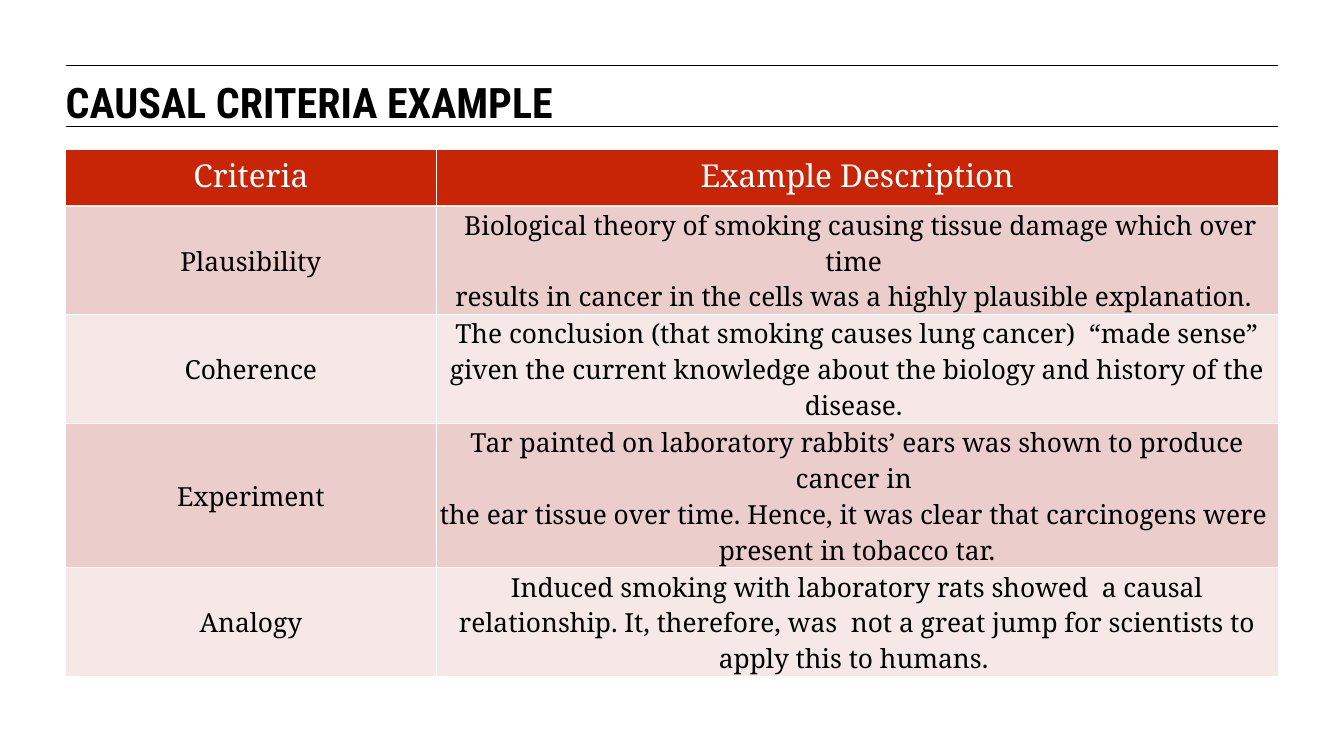
from pptx import Presentation
from pptx.dml.color import RGBColor as RGB
from pptx.enum.shapes import MSO_CONNECTOR as LINK
from pptx.enum.text import MSO_ANCHOR as ANCHOR, PP_ALIGN as ALIGN
from pptx.oxml.ns import qn
from pptx.util import Inches, Pt
from lxml.etree import SubElement as Sub

TITLE = "CAUSAL CRITERIA EXAMPLE"
ROWS = [
    ("Criteria", "Example Description"),
    ("Plausibility",
     " Biological theory of smoking causing tissue damage which over time \n"
     "results in cancer in the cells was a highly plausible explanation. "),
    ("Coherence",
     "The conclusion (that smoking causes lung cancer)  “made sense” given "
     "the current knowledge about the biology and history of the disease. "),
    ("Experiment",
     "Tar painted on laboratory rabbits’ ears was shown to produce cancer in \n"
     "the ear tissue over time. Hence, it was clear that carcinogens were  "
     "present in tobacco tar."),
    ("Analogy",
     "Induced smoking with laboratory rats showed  a causal relationship. "
     "It, therefore, was  not a great jump for scientists to apply this to "
     "humans. "),
]
COLORS = {"ink": "000000", "paper": "FFFFFF", "head": "C82506",
          "odd": "EBCDCC", "even": "F5E8E7"}
LEFT, WIDTH = 0.695, 12.83
RULES = (0.69, 1.335)
COLS = (3.92, 8.91)
HEIGHTS = (0.6, 1.15, 1.15, 1.53, 1.15)


def color(name):
    """Return the named colour."""
    return RGB.from_string(COLORS[name])


def style(frame, font, size, ink, bold=False):
    """Format every run in a text frame."""
    for para in frame.paragraphs:
        for run in para.runs:
            run.font.name, run.font.size = font, Pt(size)
            run.font.bold = bold
            run.font.color.rgb = color(ink)


def add_rule(slide, top):
    """Draw a thin line across the slide."""
    y = Inches(top)
    rule = slide.shapes.add_connector(
        LINK.STRAIGHT, Inches(LEFT), y, Inches(LEFT + WIDTH), y)
    rule.line.color.rgb = color("ink")
    rule.line.width = Pt(0.75)
    Sub(rule._element.spPr, qn("a:effectLst"))


def add_title(slide):
    """Place the slide title between the rules."""
    box = slide.shapes.add_textbox(
        Inches(LEFT), Inches(0.81), Inches(WIDTH), Inches(0.47))
    frame = box.text_frame
    frame.word_wrap = True
    frame.margin_left = frame.margin_right = 0
    frame.margin_top = frame.margin_bottom = 0
    frame.text = TITLE
    style(frame, "Roboto Condensed", 32, "ink", True)


def add_edges(cell):
    """Give a cell thin white borders."""
    props = cell._tc.get_or_add_tcPr()
    for spot, side in enumerate(("L", "R", "T", "B")):
        edge = props.makeelement(qn(f"a:ln{side}"), {"w": str(Pt(1))})
        fill = Sub(edge, qn("a:solidFill"))
        Sub(fill, qn("a:srgbClr"), val=COLORS["paper"])
        props.insert(spot, edge)


def fill_cell(cell, text, row):
    """Write and format one table cell."""
    head = row == 0
    cell.text_frame.text = text
    for para in cell.text_frame.paragraphs:
        para.alignment = ALIGN.CENTER
    style(cell.text_frame, "Noto Serif", 24 if head else 20,
          "paper" if head else "ink")
    cell.fill.solid()
    cell.fill.fore_color.rgb = color(
        "head" if head else "odd" if row % 2 else "even")
    if not head:
        cell.vertical_anchor = ANCHOR.MIDDLE
        cell.margin_left = cell.margin_right = Inches(0.01)
        cell.margin_top, cell.margin_bottom = Inches(0.01), 0
    add_edges(cell)


def add_grid(slide):
    """Build the criteria table."""
    grid = slide.shapes.add_table(
        len(ROWS), len(COLS), Inches(LEFT), Inches(1.58),
        Inches(WIDTH), Inches(sum(HEIGHTS))).table
    for col, width in zip(grid.columns, COLS):
        col.width = Inches(width)
    for row, height in zip(grid.rows, HEIGHTS):
        row.height = Inches(height)
    for r, texts in enumerate(ROWS):
        for c, text in enumerate(texts):
            fill_cell(grid.cell(r, c), text, r)


def main():
    """Build and save the slide."""
    deck = Presentation()
    deck.slide_width, deck.slide_height = Inches(14.22), Inches(7.99)
    slide = deck.slides.add_slide(deck.slide_layouts[6])
    for top in RULES:
        add_rule(slide, top)
    add_title(slide)
    add_grid(slide)
    deck.save("out.pptx")


if __name__ == "__main__":
    main()
